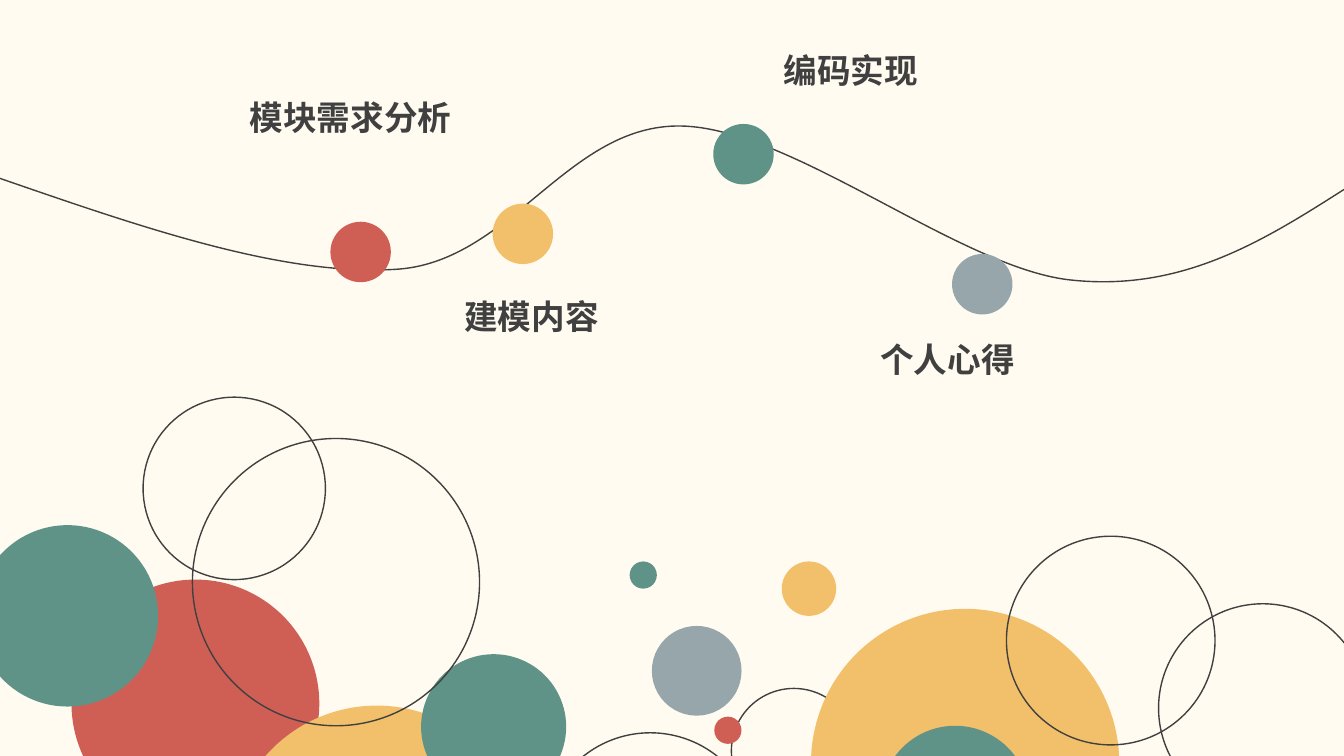
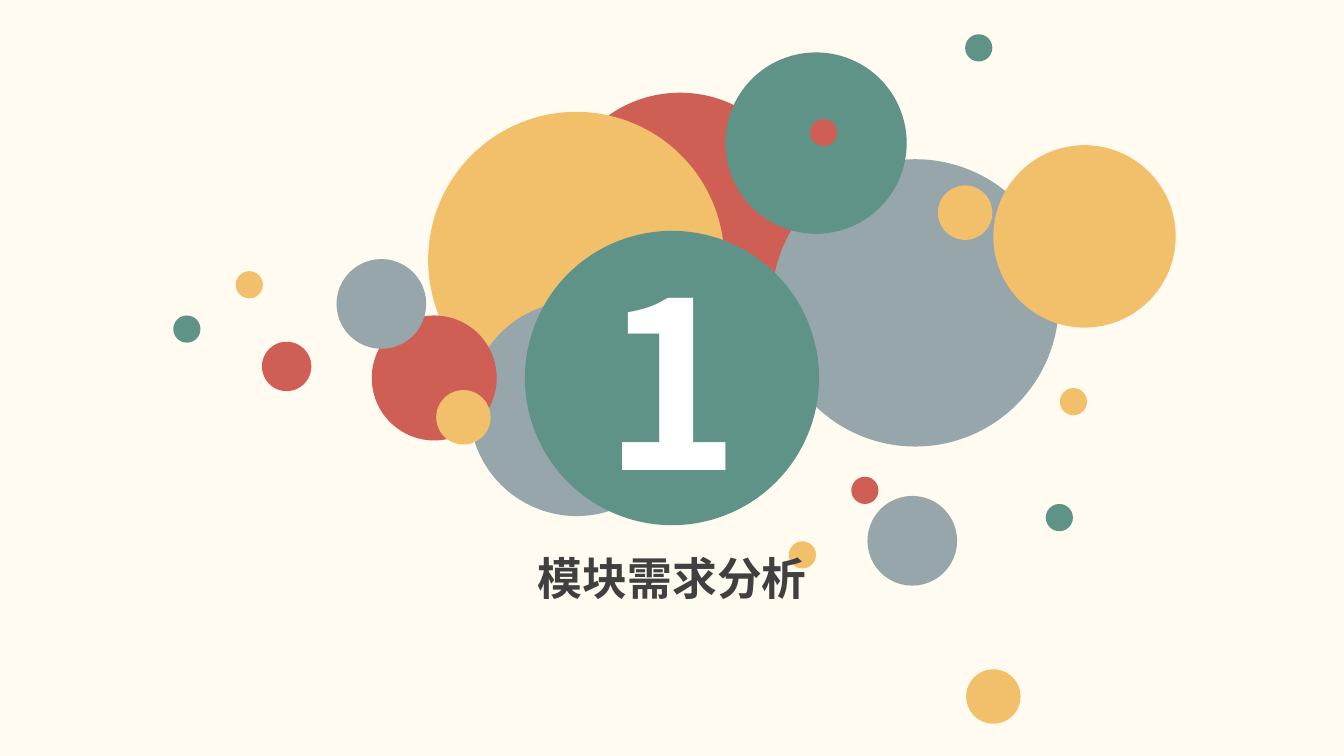
from typing import NamedTuple

from lxml import etree
from pptx import Presentation, util as u
from pptx.dml.color import RGBColor
from pptx.enum import shapes, text
from pptx.oxml.ns import qn
from pptx.shapes.autoshape import Shape
from pptx.slide import Slide
from pptx.text.text import TextFrame

SCALE = 9144  # EMU per px, 100 px to the inch
WIDE, HIGH = 1334, 750
FONT = "Noto Sans CJK SC"
HUES = {
    "paper": "FFFBF0",
    "ink": "404040",
    "white": "FFFFFF",
    "red": "CF5F55",
    "gold": "F2C06B",
    "green": "5F9387",
    "grey": "97A6AB",
}


class Disc(NamedTuple):
    """A circle; without a hue it is an outlined ring."""
    left: int
    top: int
    size: int
    hue: str = ""


class Stop(NamedTuple):
    """A topic on the curve: its dot, and the corner of its label."""
    label: str
    left: int
    top: int
    dot: Disc


BUBBLES = [
    Disc(71, 575, 246, "red"),
    Disc(227, 700, 294, "gold"),
    Disc(418, 649, 144, "green"),
    Disc(539, 727, 213),
    Disc(191, 435, 285),
    Disc(-23, 521, 180, "green"),
    Disc(726, 683, 124),
    Disc(805, 604, 306, "gold"),
    Disc(874, 720, 148, "green"),
    Disc(999, 532, 207),
    Disc(1150, 599, 207),
    Disc(647, 621, 89, "grey"),
    Disc(709, 711, 27, "red"),
    Disc(625, 557, 27, "green"),
    Disc(776, 557, 54, "gold"),
    Disc(142, 394, 181),
]
STOPS = [
    Stop("模块需求分析", 238, 91, Disc(328, 220, 60, "red")),
    Stop("建模内容", 451, 289, Disc(489, 202, 60, "gold")),
    Stop("编码实现", 768, 45, Disc(708, 123, 60, "green")),
    Stop("个人心得", 864, 331, Disc(945, 252, 60, "grey")),
]
# Bezier knots and handles: every third point lies on the curve
WAVE = [
    (0, 177), (142, 226), (283, 275), (396, 267), (508, 258),
    (564, 123), (676, 125), (787, 127), (955, 268), (1065, 278),
    (1174, 289), (1254, 239), (1334, 188),
]
CREST, DEPTH = 125, 155  # top and height of the drawn curve
CLOUD = [
    Disc(552, 92, 246, "red"),
    Disc(425, 111, 294, "gold"),
    Disc(466, 299, 213, "grey"),
    Disc(766, 158, 285, "grey"),
    Disc(720, 52, 180, "green"),
    Disc(369, 313, 124, "red"),
    Disc(861, 492, 89, "grey"),
    Disc(845, 473, 27, "red"),
    Disc(783, 537, 27, "gold"),
    Disc(1038, 500, 27, "green"),
    Disc(959, 664, 54, "gold"),
    Disc(986, 144, 181, "gold"),
    Disc(334, 257, 89, "grey"),
    Disc(260, 339, 49, "red"),
    Disc(234, 269, 27, "gold"),
    Disc(172, 313, 27, "green"),
    Disc(433, 387, 54, "gold"),
    Disc(804, 118, 27, "red"),
    Disc(1052, 385, 27, "gold"),
    Disc(958, 34, 27, "green"),
    Disc(931, 184, 54, "gold"),
]
BADGE = Disc(521, 229, 292, "green")


def px(length: int) -> u.Emu:
    return u.Emu(length * SCALE)


def tint(name: str) -> RGBColor:
    return RGBColor.from_string(HUES[name])


def add_page(deck: Presentation, layout: int) -> Slide:
    page = deck.slides.add_slide(deck.slide_layouts[layout])
    fill = page.background.fill
    fill.solid()
    fill.fore_color.rgb = tint("paper")
    return page


def paint(shape: Shape, hue: str) -> None:
    """Fill the shape with the hue, or outline it when there is none."""
    shape.shadow.inherit = False
    if hue:
        shape.fill.solid()
        shape.fill.fore_color.rgb = tint(hue)
        shape.line.fill.background()
    else:
        shape.fill.background()
        shape.line.color.rgb = tint("ink")
        shape.line.width = u.Pt(1)


def add_disc(page: Slide, disc: Disc) -> Shape:
    shape = page.shapes.add_shape(
        shapes.MSO_SHAPE.OVAL,
        px(disc.left), px(disc.top), px(disc.size), px(disc.size),
    )
    paint(shape, disc.hue)
    return shape


def add_wave(page: Slide) -> None:
    """Build a line through all points, then merge each three into a Bezier."""
    x, y = WAVE[0]
    pen = page.shapes.build_freeform(px(x), px(y))
    pen.add_line_segments([(px(x), px(y)) for x, y in WAVE[1:]], close=False)
    wave = pen.convert_to_shape()
    paint(wave, "")
    trail = wave.element.find(".//" + qn("a:path"))
    lines = trail.findall(qn("a:lnTo"))
    for i in range(0, len(lines), 3):
        curve = etree.SubElement(trail, qn("a:cubicBezTo"))
        for line in lines[i:i + 3]:
            curve.append(line[0])
            trail.remove(line)
    # Handles reach beyond the curve, so fit the frame to the curve itself
    shift = px(CREST) - wave.top
    for point in trail.iter(qn("a:pt")):
        point.set("y", str(int(point.get("y")) - shift))
    trail.set("h", str(px(DEPTH)))
    wave.top, wave.height = px(CREST), px(DEPTH)


def write(frame: TextFrame, words: str, size: int, hue: str = "ink",
          align: text.PP_ALIGN = text.PP_ALIGN.CENTER,
          anchor: text.MSO_ANCHOR = text.MSO_ANCHOR.TOP) -> None:
    frame.word_wrap = True
    frame.vertical_anchor = anchor
    line = frame.paragraphs[0]
    line.text = words
    line.alignment = align
    font = line.font
    font.name, font.size, font.bold = FONT, u.Pt(size), True
    font.color.rgb = tint(hue)
    # East Asian glyphs take their typeface from a:ea, which follows a:latin
    latin = line._p.find(".//" + qn("a:latin"))
    east = etree.Element(qn("a:ea"))
    east.set("typeface", FONT)
    latin.addnext(east)


def draw_topics(deck: Presentation) -> None:
    page = add_page(deck, 6)
    for disc in BUBBLES:
        add_disc(page, disc)
    add_wave(page)
    for stop in STOPS:
        add_disc(page, stop.dot)
    for stop in STOPS:
        box = page.shapes.add_textbox(px(stop.left), px(stop.top), px(311), px(50))
        write(box.text_frame, stop.label, 24, align=text.PP_ALIGN.LEFT)


def draw_opener(deck: Presentation) -> None:
    page = add_page(deck, 5)
    for disc in CLOUD:
        add_disc(page, disc)
    badge = add_disc(page, BADGE)
    write(badge.text_frame, "1", 166, "white", anchor=text.MSO_ANCHOR.MIDDLE)
    title = page.shapes.title
    title.left, title.top, title.width, title.height = px(366), px(541), px(603), px(118)
    write(title.text_frame, STOPS[0].label, 32)
    page.shapes.element.append(title.element)  # bring in front of the discs


def main() -> None:
    deck = Presentation()
    deck.slide_width, deck.slide_height = px(WIDE), px(HIGH)
    draw_topics(deck)
    draw_opener(deck)
    deck.save("out.pptx")


if __name__ == "__main__":
    main()
